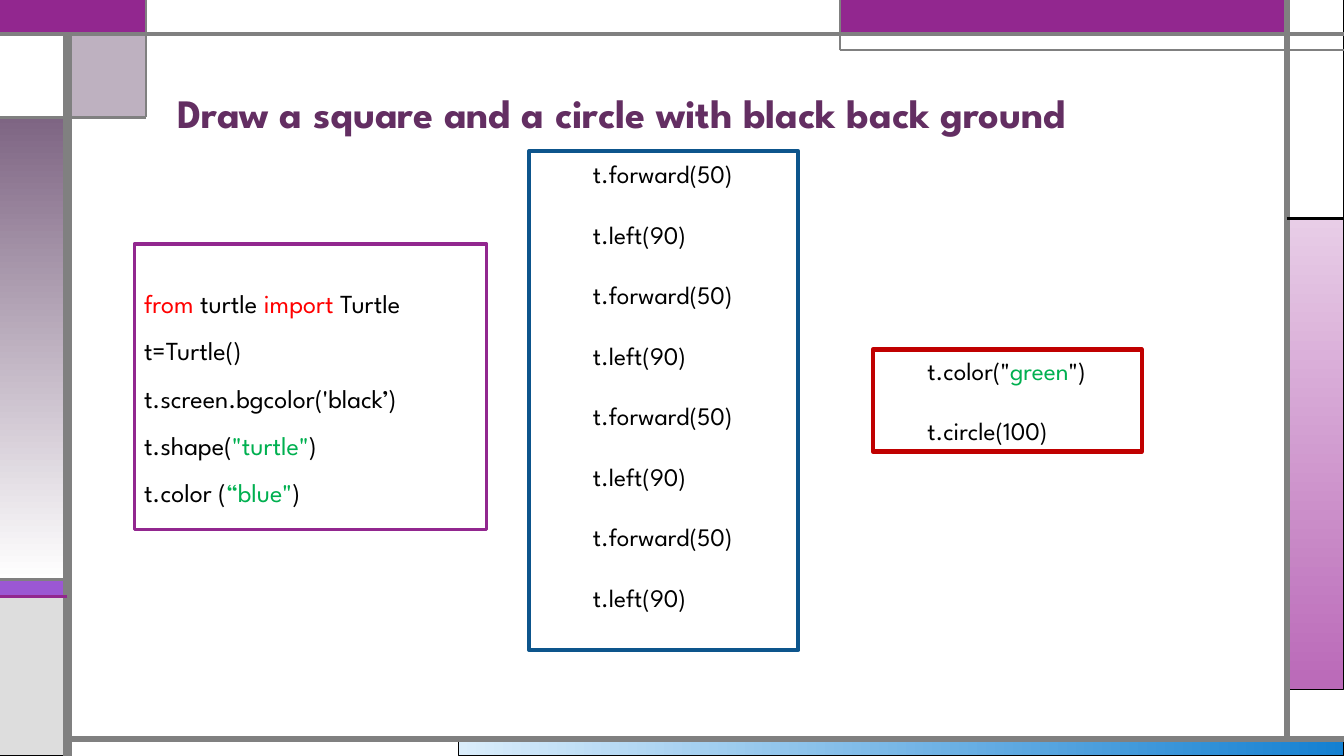
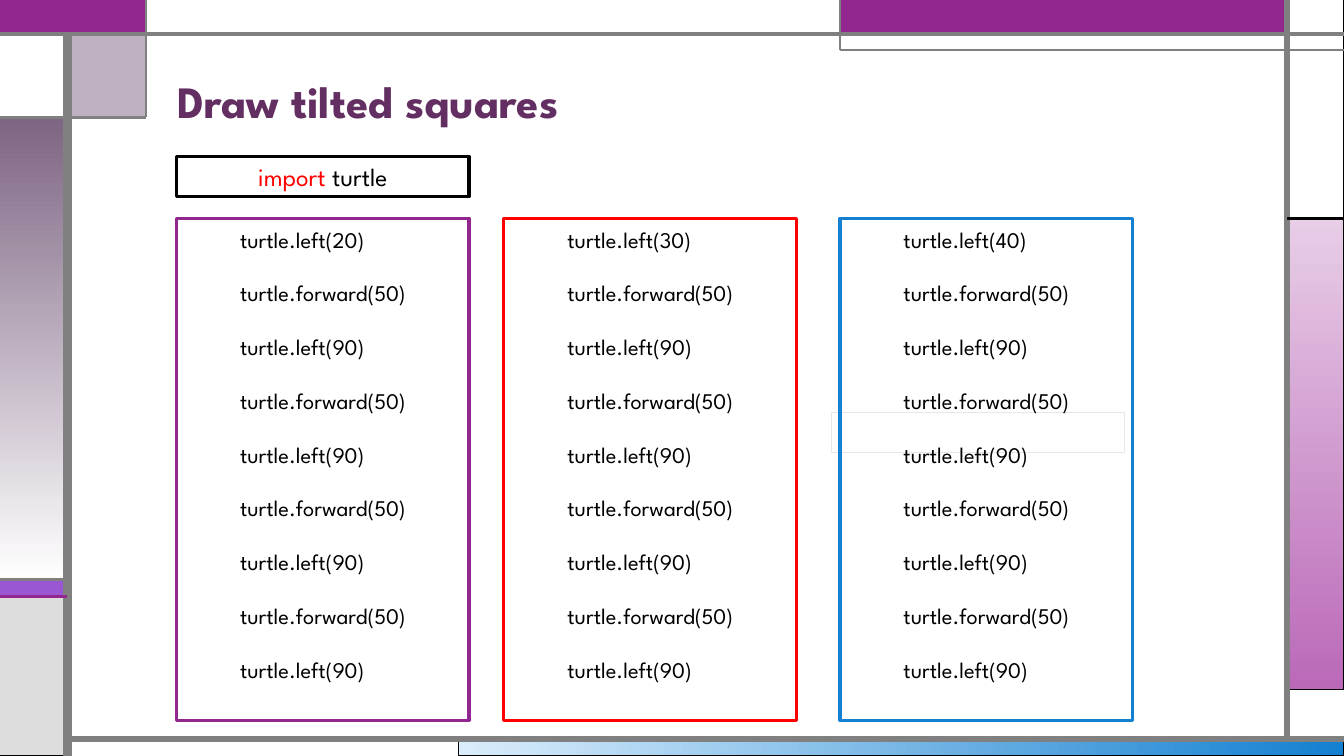
from dataclasses import dataclass

from lxml import etree
from pptx import Presentation
from pptx import util as u
from pptx.dml.color import RGBColor
from pptx.enum import shapes, text
from pptx.oxml.ns import qn


@dataclass(frozen=True)
class Theme:
    font: str = "League Spartan"
    title: str = "632E62"
    ink: str = "000000"
    keyword: str = "FF0000"
    literal: str = "00B050"
    white: str = "FFFFFF"
    grey: str = "808080"
    pale_grey: str = "DDDDDD"
    ghost: str = "EAE5EB"
    purple: str = "92278F"
    violet: str = "9B57D3"
    indigo: str = "755DD9"
    mauve: str = "7E6583"
    pink: str = "E8CDE7"
    orchid: str = "BA69B8"
    sky: str = "DAEDFB"
    blue: str = "1480D1"
    navy: str = "0D558C"
    red: str = "FF0000"
    dark_red: str = "C00000"
    title_large: float = 32
    title_small: float = 28.8
    setup_size: float = 18.6
    code_size: float = 18
    list_size: float = 16


theme = Theme()
WIDTH, HEIGHT = 33.87, 19.05

# Frame grid, in cm
LEFT, TAB, PANEL, RIGHT = 1.7, 3.67, 21.17, 32.43
TOP, RULE, TAB_END, BAR_TOP = 0.85, 1.27, 2.96, 5.5
BAND_TOP, BAND_END, BOTTOM = 14.61, 15.03, 18.63

# Left, top, right, bottom, fill (two colours and an angle for a gradient), line, line width
FRAME_BLOCKS = [
    (11.55, BOTTOM, WIDTH, HEIGHT, (theme.sky, theme.blue, 0), theme.ink, 0.75),
    (RIGHT, BAR_TOP, WIDTH, 17.37, (theme.pink, theme.orchid, 270), theme.ink, 0.75),
    (0, BAND_TOP, LEFT, BAND_END, theme.violet, theme.ink, 0.75),
    (0, BAND_END, LEFT, HEIGHT, theme.pale_grey, theme.ink, 0.75),
    (RIGHT, 0, WIDTH, BAR_TOP, theme.white, theme.ink, 0.75),
    (PANEL, 0, RIGHT, TOP, theme.purple, theme.indigo, 0.75),
    (LEFT, TOP, TAB, TAB_END, (theme.mauve, 50), theme.ink, 0.75),
    (0, TAB_END, LEFT, BAND_TOP, (theme.mauve, theme.white, 270), theme.ink, 0.75),
    (0, TOP, LEFT, TAB_END, theme.white, theme.ink, 0.75),
    (0, 0, TAB, TOP, theme.purple, theme.purple, 1.5),
    (TAB, 0, PANEL, TOP, theme.white, theme.grey, 0.75),
]

# Start x, start y, end x, end y, colour, width
FRAME_LINES = [
    (LEFT, HEIGHT, LEFT, TOP, theme.grey, 6),
    (LEFT, BOTTOM, WIDTH, BOTTOM, theme.grey, 4.5),
    (RIGHT, BOTTOM, RIGHT, 0, theme.grey, 4.5),
    (0, TOP, WIDTH, TOP, theme.grey, 3),
    (WIDTH, RULE, PANEL, RULE, theme.grey, 1.5),
    (PANEL, RULE, PANEL, 0, theme.grey, 1.5),
    (RIGHT, BAR_TOP, WIDTH, BAR_TOP, theme.ink, 2.25),
    (TAB, 0, TAB, TAB_END, theme.grey, 1.5),
    (TAB, TAB_END, 0, TAB_END, theme.grey, 2.25),
    (LEFT, BAND_TOP, 0, BAND_TOP, theme.grey, 2.25),
    (LEFT, BAND_END, 0, BAND_END, theme.purple, 2.25),
]

# Code: a line is a string, or a list of strings and (text, colour) pairs
SETUP = [
    [("from", theme.keyword), " turtle ", ("import", theme.keyword), " Turtle"],
    "t=Turtle()",
    "t.screen.bgcolor('black\u2019)",
    ["t.shape(", ("\"turtle\"", theme.literal), ")"],
    ["t.color (", ("\u201cblue\"", theme.literal), ")"],
]
SQUARE = ["t.forward(50)", "t.left(90)"] * 4
CIRCLE = [["t.color(\"", ("green", theme.literal), "\")"], "t.circle(100)"]
IMPORT = [[("import", theme.keyword), " turtle"]]


def tilted_square(angle):
    return [f"turtle.left({angle})"] + ["turtle.forward(50)", "turtle.left(90)"] * 4


COLUMN_TOP, COLUMN_WIDTH, COLUMN_HEIGHT, LABEL_HEIGHT = 5.5, 7.37, 12.65, 1.02
COLUMNS = [
    (4.45, 20, theme.purple),
    (12.7, 30, theme.red),
    (21.17, 40, theme.blue),
]


def write(shape, lines, size, color=theme.ink, bold=False, align=text.PP_ALIGN.LEFT,
          anchor=text.MSO_ANCHOR.TOP, inset=(0.25, 0.13), spacing=1.0, gap=0):
    """Fill a shape with formatted paragraphs; inset is left and top, in cm."""
    frame = shape.text_frame
    frame.word_wrap = True
    frame.auto_size = text.MSO_AUTO_SIZE.NONE
    frame.vertical_anchor = anchor
    frame.margin_left, frame.margin_top = map(u.Cm, inset)
    for number, line in enumerate(lines):
        paragraph = frame.add_paragraph() if number else frame.paragraphs[0]
        paragraph.alignment = align
        paragraph.line_spacing = spacing
        paragraph.space_before = u.Pt(0)
        paragraph.space_after = u.Pt(gap if number < len(lines) - 1 else 0)
        for part in [line] if isinstance(line, str) else line:
            words, part_color = (part, color) if isinstance(part, str) else part
            run = paragraph.add_run()
            run.text = words
            run.font.name = theme.font
            run.font.size = u.Pt(size)
            run.font.bold = bold
            run.font.color.rgb = RGBColor.from_string(part_color)


def paint(shape, fill):
    """Apply no fill, a colour, a (colour, opacity) pair or a gradient."""
    if fill is None:
        shape.fill.background()
    elif isinstance(fill, tuple) and len(fill) == 3:
        shape.fill.gradient()
        shape.fill.gradient_angle = fill[2]
        for stop, color in zip(shape.fill.gradient_stops, fill):
            stop.color.rgb = RGBColor.from_string(color)
    else:
        color, opacity = fill if isinstance(fill, tuple) else (fill, 100)
        shape.fill.solid()
        shape.fill.fore_color.rgb = RGBColor.from_string(color)
        if opacity < 100:
            tint = shape.element.spPr.find(qn("a:solidFill"))[0]
            etree.SubElement(tint, qn("a:alpha")).set("val", str(opacity * 1000))


def outline(shape, color, width):
    shape.line.color.rgb = RGBColor.from_string(color)
    shape.line.width = u.Pt(width)


def add_box(slide, left, top, width, height, line, line_width, fill=None):
    shape = slide.shapes.add_shape(shapes.MSO_SHAPE.RECTANGLE,
                                   *map(u.Cm, (left, top, width, height)))
    shape.shadow.inherit = False
    paint(shape, fill)
    outline(shape, line, line_width)
    return shape


def add_line(slide, start_x, start_y, end_x, end_y, color, width):
    line = slide.shapes.add_connector(shapes.MSO_CONNECTOR.STRAIGHT,
                                      *map(u.Cm, (start_x, start_y, end_x, end_y)))
    outline(line, color, width)
    etree.SubElement(line.element.spPr, qn("a:effectLst"))
    return line


def add_frame(layout, slide):
    """Build the frame with slide tools, then hand its parts to the layout."""
    parts = [add_box(slide, left, top, right - left, bottom - top, line, width, fill)
             for left, top, right, bottom, fill, line, width in FRAME_BLOCKS]
    parts += [add_line(slide, *line) for line in FRAME_LINES]
    for number, part in enumerate(parts, start=100):
        part.element.xpath(".//p:cNvPr")[0].set("id", str(number))
        layout.shapes.element.append(part.element)


def add_title(slide, words, size, height):
    title = slide.shapes.title
    title.left, title.top, title.width, title.height = map(u.Cm, (4.22, 1.47, 26.67, height))
    write(title, [words], size, color=theme.title, bold=True,
          anchor=text.MSO_ANCHOR.BOTTOM, spacing=0.9)


def add_steps(box, lines, size, inset):
    """List code with one empty line's height between steps."""
    write(box, lines, size, inset=inset, gap=1.2 * size)


presentation = Presentation()
presentation.slide_width, presentation.slide_height = u.Cm(WIDTH), u.Cm(HEIGHT)
title_only = presentation.slide_layouts[5]

# Square and circle
square_slide = presentation.slides.add_slide(title_only)
add_frame(title_only, square_slide)
add_title(square_slide, "Draw a square and a circle with black back ground",
          theme.title_small, 2.11)
setup_box = add_box(square_slide, 3.38, 6.15, 8.89, 7.19, theme.purple, 2.25)
write(setup_box, SETUP, theme.setup_size, inset=(0.25, 1.32), spacing=0.7, gap=18)
square_box = add_box(square_slide, 13.34, 3.81, 6.78, 12.57, theme.navy, 3)
add_steps(square_box, SQUARE, theme.code_size, (1.6, 0.19))
circle_box = add_box(square_slide, 22, 8.81, 6.78, 2.57, theme.dark_red, 3)
add_steps(circle_box, CIRCLE, theme.code_size, (1.37, 0.14))

# Tilted squares
tilted_slide = presentation.slides.add_slide(title_only)
add_title(tilted_slide, "Draw tilted squares", theme.title_large, 1.9)
add_box(tilted_slide, 20.96, 10.39, COLUMN_WIDTH, LABEL_HEIGHT, theme.ghost, 0.75)
import_box = add_box(tilted_slide, COLUMNS[0][0], 3.94, COLUMN_WIDTH, LABEL_HEIGHT,
                     theme.ink, 2.25)
write(import_box, IMPORT, theme.code_size, align=text.PP_ALIGN.CENTER,
      anchor=text.MSO_ANCHOR.MIDDLE)
for left, angle, color in COLUMNS:
    column = add_box(tilted_slide, left, COLUMN_TOP, COLUMN_WIDTH, COLUMN_HEIGHT, color, 2.25)
    add_steps(column, tilted_square(angle), theme.list_size, (1.6, 0.19))

presentation.save("out.pptx")
